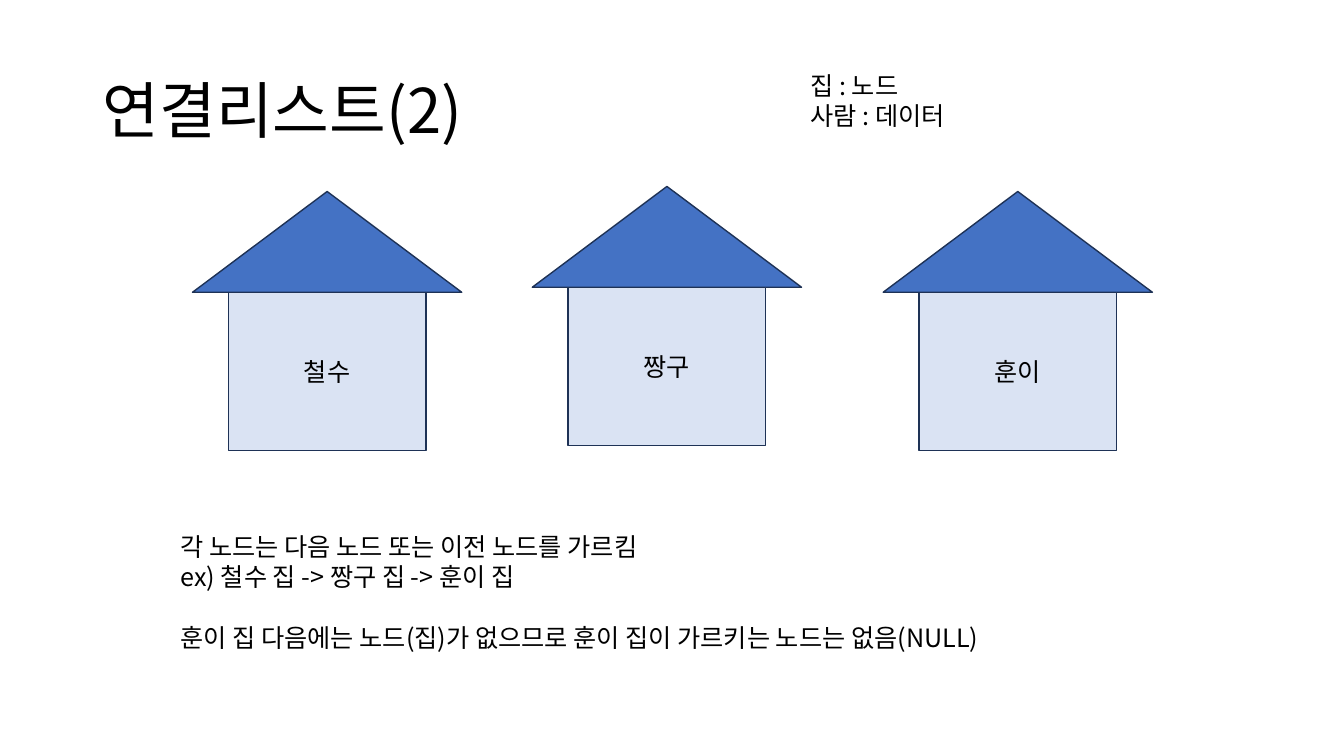
from dataclasses import dataclass

from pptx import Presentation
from pptx import util as u
from pptx.dml.color import RGBColor
from pptx.enum import shapes, text
from pptx.oxml import ns
from lxml import etree


@dataclass(frozen=True)
class Theme:
    font: str = "Noto Sans CJK KR"
    ink: str = "000000"
    roof: str = "4472C4"
    wall: str = "DAE3F3"
    outline: str = "1E3256"
    title_size: float = 44
    body_size: float = 18
    body_leading: float = 21.6


THEME = Theme()
ROOF_WIDTH, ROOF_HEIGHT = 2.67, 1
WALL_WIDTH, WALL_HEIGHT = 1.96, 1.57
HOUSES = [("철수", 1.91, 1.9), ("짱구", 5.28, 1.85), ("훈이", 8.76, 1.9)]


def apply_format(target, values):
    for name, value in values.items():
        setattr(target, name, value)


def write_line(paragraph, words, size, **layout):
    apply_format(paragraph, layout)
    run = paragraph.add_run()
    run.text = words
    apply_format(run.font, {"name": THEME.font, "size": u.Pt(size)})
    run.font.color.rgb = RGBColor.from_string(THEME.ink)
    east_asian = etree.SubElement(run.font._element, ns.qn("a:ea"))
    east_asian.set("typeface", THEME.font)


def add_text(slide, box, lines, size, anchor=text.MSO_ANCHOR.TOP, **layout):
    frame = slide.shapes.add_textbox(*map(u.Inches, box)).text_frame
    apply_format(frame, {"word_wrap": True, "vertical_anchor": anchor})
    for index, (words, gap) in enumerate(lines):
        paragraph = frame.add_paragraph() if index else frame.paragraphs[0]
        write_line(paragraph, words, size, space_before=u.Pt(gap), **layout)


def add_house_part(house, preset, box, fill):
    part = house.shapes.add_shape(preset, *map(u.Inches, box))
    part.shadow.inherit = False
    part.fill.solid()
    part.fill.fore_color.rgb = RGBColor.from_string(fill)
    part.line.color.rgb = RGBColor.from_string(THEME.outline)
    part.line.width = u.Pt(1)
    return part


def add_house(slide, resident, left, top):
    house = slide.shapes.add_group_shape()
    add_house_part(house, shapes.MSO_SHAPE.ISOSCELES_TRIANGLE,
                   (left, top, ROOF_WIDTH, ROOF_HEIGHT), THEME.roof)
    wall_left = left + (ROOF_WIDTH - WALL_WIDTH) / 2
    wall = add_house_part(house, shapes.MSO_SHAPE.RECTANGLE,
                          (wall_left, top + ROOF_HEIGHT, WALL_WIDTH, WALL_HEIGHT),
                          THEME.wall)
    wall.text_frame.vertical_anchor = text.MSO_ANCHOR.MIDDLE
    write_line(wall.text_frame.paragraphs[0], resident, THEME.body_size,
               alignment=text.PP_ALIGN.CENTER)


def main():
    deck = Presentation()
    apply_format(deck, {"slide_width": u.Inches(13.33),
                        "slide_height": u.Inches(7.5)})
    slide = deck.slides.add_slide(deck.slide_layouts[6])
    leading = u.Pt(THEME.body_leading)

    add_text(slide, (0.92, 0.4, 11.5, 1.45), [("연결리스트(2)", 0)],
             THEME.title_size, text.MSO_ANCHOR.MIDDLE, line_spacing=0.9)
    for resident, left, top in HOUSES:
        add_house(slide, resident, left, top)
    add_text(slide, (7.94, 0.65, 3.31, 0.71),
             [("집 : 노드", 0), ("사람 : 데이터", 0)],
             THEME.body_size, line_spacing=leading)
    add_text(slide, (1.69, 5.22, 11.81, 1.31),
             [("각 노드는 다음 노드 또는 이전 노드를 가르킴", 0),
              ("ex) 철수 집 -> 짱구 집 -> 훈이 집", 0),
              ("훈이 집 다음에는 노드(집)가 없으므로 훈이 집이 가르키는 노드는 없음(NULL)",
               THEME.body_leading)],
             THEME.body_size, line_spacing=leading)
    deck.save("out.pptx")


if __name__ == "__main__":
    main()
